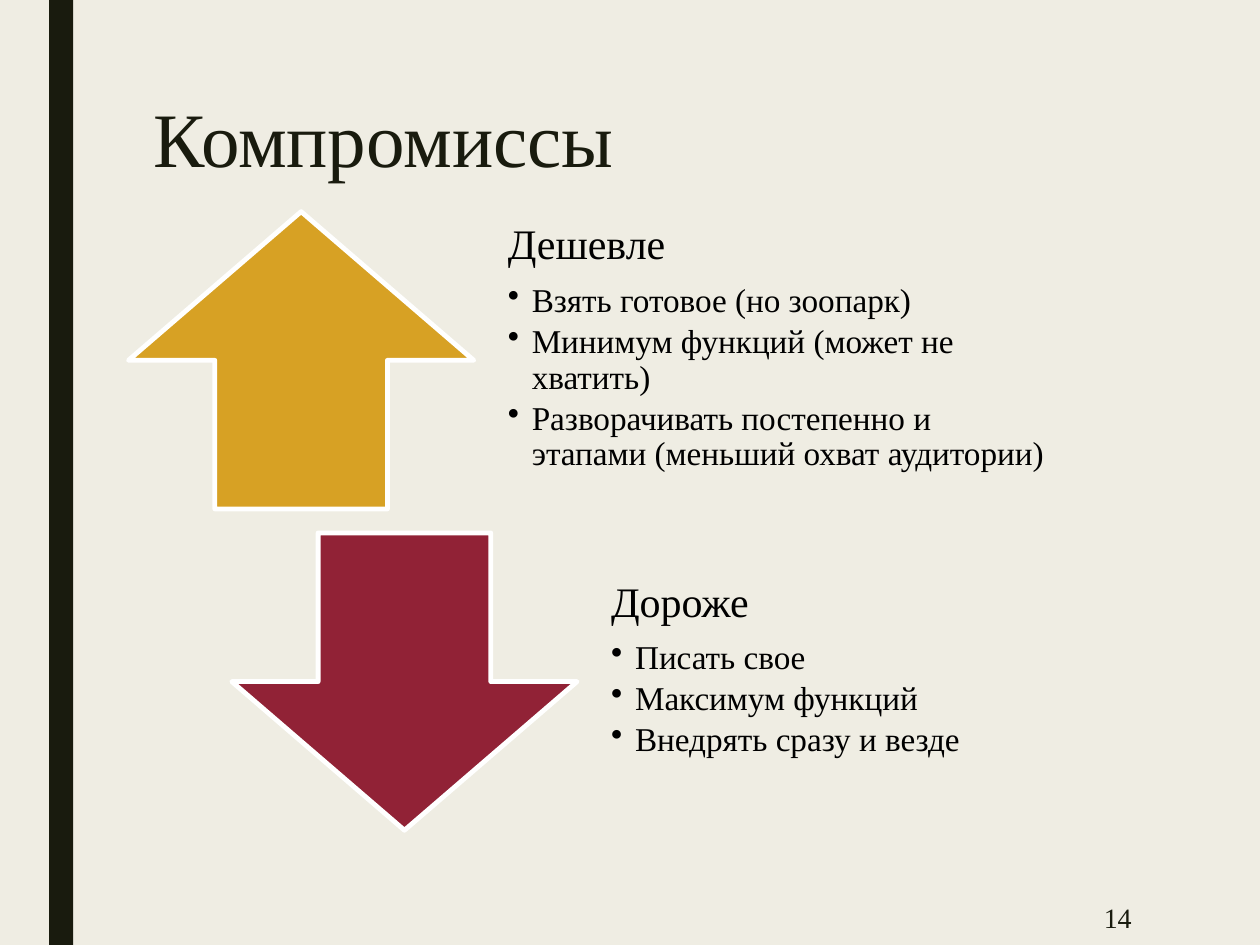
from dataclasses import dataclass

from lxml.etree import SubElement
from pptx import Presentation
from pptx.dml.color import RGBColor
from pptx.enum.shapes import MSO_SHAPE as Shape
from pptx.enum.text import MSO_ANCHOR as Anchor, PP_ALIGN as Align
from pptx.oxml.ns import qn
from pptx.util import Inches, Pt


@dataclass(frozen=True)
class Theme:
    font: str = "Times New Roman"
    background: str = "EFEDE3"
    dark: str = "191B0E"
    text: str = "000000"
    outline: str = "FFFFFF"
    gold: str = "D7A124"
    wine: str = "912236"
    title: int = 44
    heading: int = 24
    bullet: int = 19
    number: int = 16


THEME = Theme()

# Content
TITLE = "Компромиссы"
PAGE_NUMBER = "14"
OPTIONS = [
    ("Дешевле", Shape.UP_ARROW, THEME.gold, [
        "Взять готовое (но зоопарк)",
        "Минимум функций (может не хватить)",
        "Разворачивать постепенно и этапами (меньший охват аудитории)",
    ]),
    ("Дороже", Shape.DOWN_ARROW, THEME.wine, [
        "Писать свое",
        "Максимум функций",
        "Внедрять сразу и везде",
    ]),
]

# Each option steps right and down from the one before
LEFT, TOP = 1.02, 1.68
STEP_X, STEP_Y = 0.82, 2.55
ARROW_W, ROW_H = 2.74, 2.36
TEXT_OFFSET, TEXT_W = 2.82, 4.65
INDENT = 0.19


def rgb(value):
    return RGBColor.from_string(value)


def add_shape(slide, kind, box, fill, outline=None):
    sp = slide.shapes.add_shape(kind, *map(Inches, box))
    sp.shadow.inherit = False
    sp.fill.solid()
    sp.fill.fore_color.rgb = rgb(fill)
    if outline:
        sp.line.color.rgb = rgb(outline)
        sp.line.width = Pt(2.75)
    else:
        sp.line.fill.background()
    return sp


def add_text_box(slide, box, anchor, insets=(0.1, 0.05, 0.1, 0.05)):
    tf = slide.shapes.add_textbox(*map(Inches, box)).text_frame
    tf.word_wrap = True
    tf.vertical_anchor = anchor
    tf.margin_left, tf.margin_top, tf.margin_right, tf.margin_bottom = map(Inches, insets)
    return tf


def write(p, text, size, color, spacing=1.0, after=0):
    p.line_spacing = spacing
    p.space_after = Pt(after)
    r = p.add_run()
    r.text = text
    r.font.name = THEME.font
    r.font.size = Pt(size)
    r.font.color.rgb = rgb(color)


def set_bullet(p):
    p.level = 1
    props = p._p.get_or_add_pPr()
    props.set("marL", str(Inches(INDENT)))
    props.set("indent", str(-Inches(INDENT)))
    SubElement(props, qn("a:buChar")).set("char", "•")


def add_option(slide, index, heading, arrow, color, bullets):
    x, y = LEFT + index * STEP_X, TOP + index * STEP_Y
    add_shape(slide, arrow, (x, y, ARROW_W, ROW_H), color, THEME.outline)
    tf = add_text_box(slide, (x + TEXT_OFFSET, y, TEXT_W, ROW_H), Anchor.MIDDLE,
                      (INDENT, 0, INDENT, INDENT))
    write(tf.paragraphs[0], heading, THEME.heading, THEME.text, 0.9, 8.4)
    for bullet in bullets:
        p = tf.add_paragraph()
        write(p, bullet, THEME.bullet, THEME.text, 0.9, 2.85)
        set_bullet(p)


def main():
    prs = Presentation()
    prs.slide_width, prs.slide_height = Inches(10), Inches(7.5)
    s = prs.slides.add_slide(prs.slide_layouts[6])
    s.background.fill.solid()
    s.background.fill.fore_color.rgb = rgb(THEME.background)

    # Side bar and title
    add_shape(s, Shape.RECTANGLE, (0.39, 0, 0.19, 7.5), THEME.dark)
    tf = add_text_box(s, (1.12, 0.75, 7.88, 0.76), Anchor.BOTTOM)
    write(tf.paragraphs[0], TITLE, THEME.title, THEME.dark, 0.89)

    # Arrows with their lists
    for index, option in enumerate(OPTIONS):
        add_option(s, index, *option)

    # Page number
    tf = add_text_box(s, (7.77, 7.06, 1.31, 0.44), Anchor.MIDDLE)
    write(tf.paragraphs[0], PAGE_NUMBER, THEME.number, THEME.dark)
    tf.paragraphs[0].alignment = Align.RIGHT

    prs.save("out.pptx")


if __name__ == "__main__":
    main()
